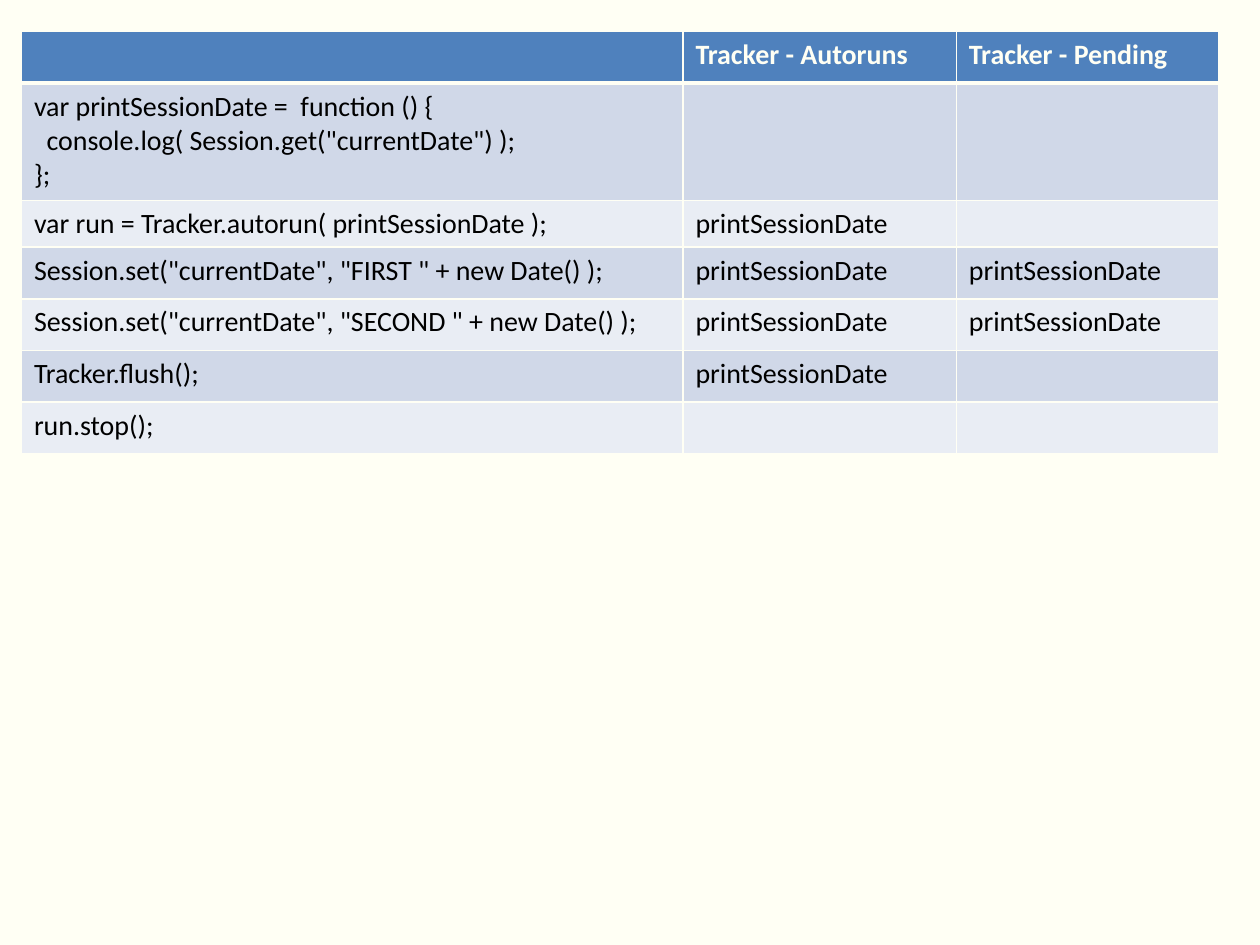
from dataclasses import dataclass

from lxml.etree import SubElement
from pptx import Presentation
from pptx.dml.color import RGBColor
from pptx.oxml.ns import qn
from pptx.util import Inches, Pt


@dataclass(frozen=True)
class Theme:
    """Colours and type of the slide."""
    paper: str = "FFFFF4"
    ink: str = "000000"
    head: str = "4F81BD"
    bands: tuple = ("E9EDF4", "D0D8E8")
    font: str = "Calibri"
    size: int = 16
    rule: int = 1
    heavy: int = 3


THEME = Theme()
SIZE = (10, 7.5)
BOX = (0.17, 0.25, 9.5, 3.32)
COLS = (5.25, 2.17, 2.08)
ROWS = (0.41, 0.93, 0.34, 0.41, 0.41, 0.41, 0.41)
JOB = "printSessionDate"
STEPS = (
    ("", "Tracker - Autoruns", "Tracker - Pending"),
    ('var printSessionDate =  function () {\n'
     '  console.log( Session.get("currentDate") );\n};', "", ""),
    ("var run = Tracker.autorun( printSessionDate );", JOB, ""),
    ('Session.set("currentDate", "FIRST " + new Date() );', JOB, JOB),
    ('Session.set("currentDate", "SECOND " + new Date() );', JOB, JOB),
    ("Tracker.flush();", JOB, ""),
    ("run.stop();", "", ""),
)


def edge(cell, side, width):
    """Draw one border of a cell."""
    line = SubElement(cell._tc.get_or_add_tcPr(), qn(f"a:ln{side}"), w=str(Pt(width)))
    fill = SubElement(line, qn("a:solidFill"))
    SubElement(fill, qn("a:srgbClr"), val=THEME.paper)


def style(cell, text, row):
    """Fill a cell and set its text by the row it is in."""
    head = row == 0
    for side in "LRTB":
        thick = (head and side == "B") or (row == 1 and side == "T")
        edge(cell, side, THEME.heavy if thick else THEME.rule)
    cell.fill.solid()
    tint = THEME.head if head else THEME.bands[row % 2]
    cell.fill.fore_color.rgb = RGBColor.from_string(tint)
    cell.text_frame.text = text
    for para in cell.text_frame.paragraphs:
        for run in para.runs:
            font = run.font
            font.name, font.size, font.bold = THEME.font, Pt(THEME.size), head
            font.color.rgb = RGBColor.from_string(THEME.paper if head else THEME.ink)
        if not para.runs:
            SubElement(para._p, qn("a:endParaRPr"), sz=str(THEME.size * 100))


def steps(slide, box):
    """Place the table of code steps, scaled to its box."""
    left, top, width, height = map(Inches, box)
    grid = slide.shapes.add_table(len(ROWS), len(COLS), left, top, width, height).table
    for col, share in zip(grid.columns, COLS):
        col.width = int(width * share / sum(COLS))
    for row, share in zip(grid.rows, ROWS):
        row.height = int(height * share / sum(ROWS))
    for r, texts in enumerate(STEPS):
        for c, text in enumerate(texts):
            style(grid.cell(r, c), text, r)


def build():
    """Make the deck and save it."""
    deck = Presentation()
    deck.slide_width, deck.slide_height = map(Inches, SIZE)
    slide = deck.slides.add_slide(deck.slide_layouts[6])
    slide.background.fill.solid()
    slide.background.fill.fore_color.rgb = RGBColor.from_string(THEME.paper)
    steps(slide, BOX)
    deck.save("out.pptx")


build()
